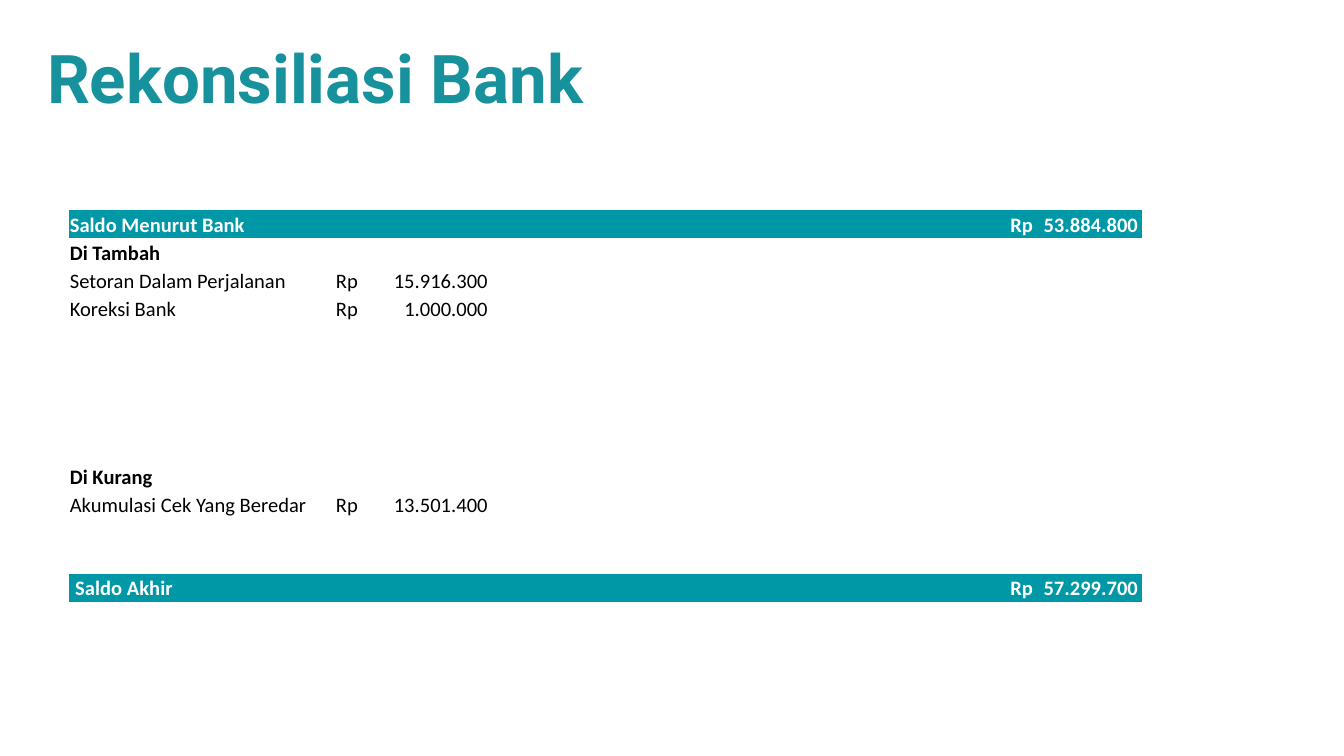
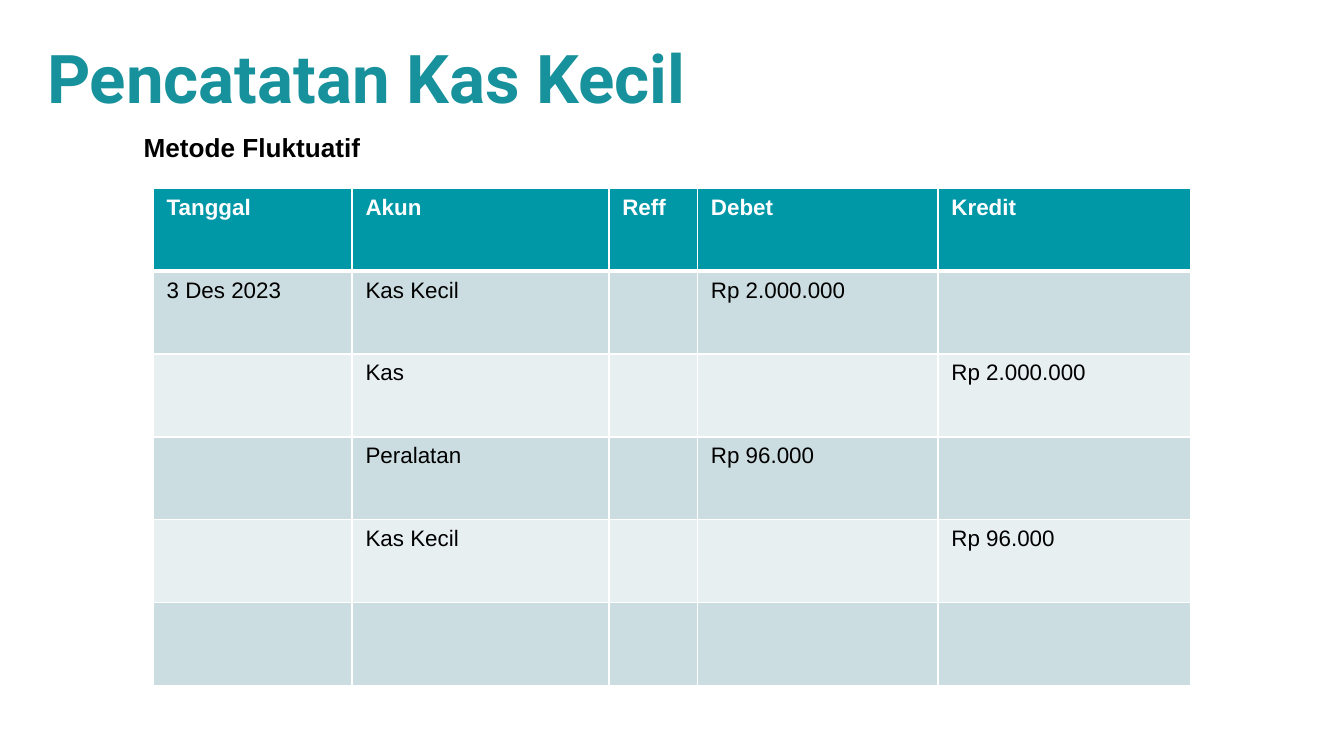
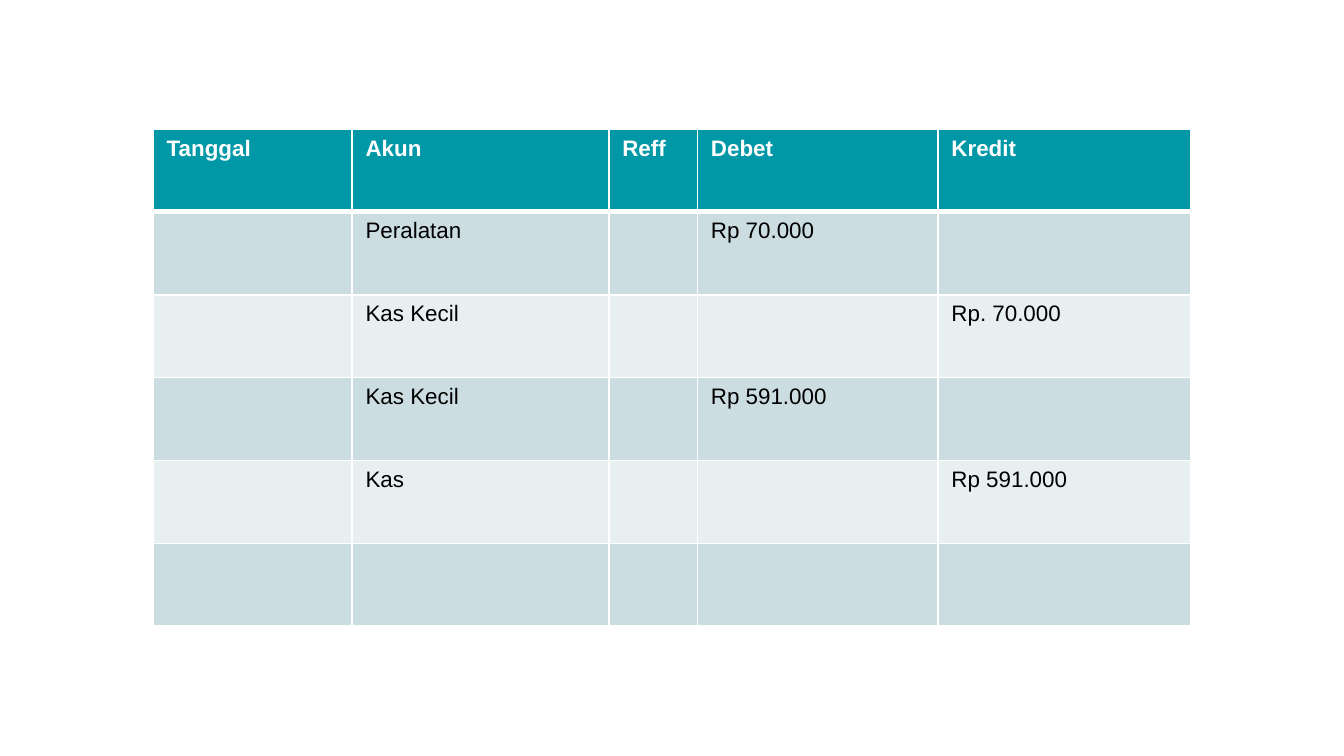
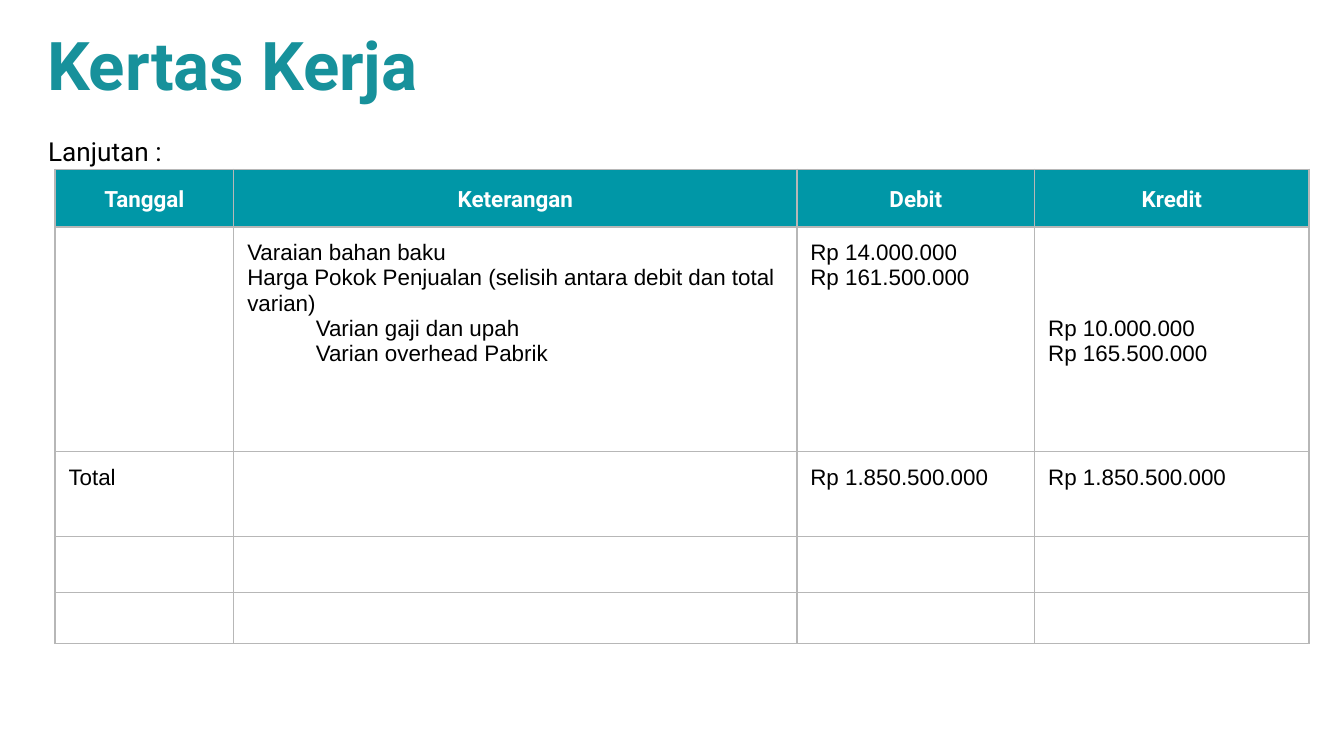
from lxml.etree import SubElement
from pptx import Presentation
from pptx.dml.color import RGBColor
from pptx.enum.text import MSO_ANCHOR, MSO_AUTO_SIZE, PP_ALIGN
from pptx.oxml.ns import qn
from pptx.util import Inches, Pt

WIDTH = 10
HEIGHT = WIDTH * 9 / 16
TEAL, TITLE_TEAL, WHITE, BLACK = "0097A7", "17919B", "FFFFFF", "000000"
BANDS = ("CCDDE1", "E7EFF1")
GRID_GREY = "B7B7B7"
PLAIN_TABLE_STYLE = "{2D5ABB26-0587-4C30-8999-92F81FD0307C}"

TITLE_FONT = {"name": "Roboto", "size": 36, "bold": True, "color": TITLE_TEAL}
SUBTITLE_FONT = {"name": "Arial", "size": 14, "bold": True, "color": BLACK}
CONTINUED_FONT = {"name": "Roboto", "size": 14, "bold": False, "color": BLACK}
STATEMENT_FONT = {"name": "Calibri", "size": 11, "bold": False, "color": BLACK}
TABLE_FONT = {"name": "Arial", "size": 12, "bold": False, "color": BLACK}
HEADER_FONT = {**TABLE_FONT, "bold": True, "color": WHITE}
WORKSHEET_HEADER_FONT = {**HEADER_FONT, "name": "Roboto"}

STATEMENT_COLUMNS = [1.94, 1.21, 1.03, 0.67, 0.67, 0.67, 0.77, 1.03]
STATEMENT_ROW_COUNT = 16
STATEMENT_BANDS = (2, 15)
STATEMENT_HEADINGS = (3, 11)
STATEMENT_ENTRIES = {
    (2, 0): "Saldo Menurut Bank",
    (2, 7): "Rp\t53.884.800",
    (3, 0): "Di Tambah",
    (4, 0): "Setoran Dalam Perjalanan",
    (4, 1): "Rp\t15.916.300",
    (5, 0): "Koreksi Bank",
    (5, 1): "Rp\t1.000.000",
    (11, 0): "Di Kurang",
    (12, 0): "Akumulasi Cek Yang Beredar",
    (12, 1): "Rp\t13.501.400",
    (15, 0): "Saldo Akhir",
    (15, 7): "Rp\t57.299.700",
}

JOURNAL_COLUMNS = [1.48, 1.91, 0.66, 1.79, 1.88]
JOURNAL_HEADER = ["Tanggal", "Akun", "Reff", "Debet", "Kredit"]
FIRST_JOURNAL = [
    ["3 Des 2023", "Kas Kecil", "", "Rp 2.000.000", ""],
    ["", "Kas", "", "", "Rp 2.000.000"],
    ["", "Peralatan", "", "Rp 96.000", ""],
    ["", "Kas Kecil", "", "", "Rp 96.000"],
    [""] * 5,
]
SECOND_JOURNAL = [
    ["", "Peralatan", "", "Rp 70.000", ""],
    ["", "Kas Kecil", "", "", "Rp. 70.000"],
    ["", "Kas Kecil", "", "Rp 591.000", ""],
    ["", "Kas", "", "", "Rp 591.000"],
    [""] * 5,
]

WORKSHEET_COLUMNS = [1.33, 4.19, 1.77, 2.04]
WORKSHEET_ROWS = [0.43, 1.67, 0.63, 0.42, 0.38]
WORKSHEET = [
    ["Tanggal", "Keterangan", "Debit", "Kredit"],
    ["",
     "Varaian bahan baku\n"
     "Harga Pokok Penjualan (selisih antara debit dan total varian)\n"
     "Varian gaji dan upah\nVarian overhead Pabrik",
     "Rp 14.000.000\nRp 161.500.000",
     "Rp 10.000.000\nRp 165.500.000"],
    ["Total", "", "Rp 1.850.500.000", "Rp 1.850.500.000"],
    [""] * 4,
    [""] * 4,
]
CREDIT_CELL = (1, 3)
CREDIT_TOP = 0.66
INDENTED_PREFIX = "Varian "
ENTRY_INDENT = 0.51


def rgb(value):
    return RGBColor.from_string(value)


def set_text(frame, text, font_values, alignment=PP_ALIGN.LEFT, line_spacing=1.0):
    frame.text = text
    for paragraph in frame.paragraphs:
        paragraph.alignment = alignment
        paragraph.line_spacing = line_spacing
        if not paragraph.runs:
            end_properties = paragraph._p.get_or_add_endParaRPr()
            end_properties.set("sz", str(font_values["size"] * 100))
        for run in paragraph.runs:
            for name, value in font_values.items():
                if name == "color":
                    run.font.color.rgb = rgb(value)
                else:
                    setattr(run.font, name, Pt(value) if name == "size" else value)


def set_frame(frame, margins, anchor=MSO_ANCHOR.TOP):
    values = dict(zip(("margin_left", "margin_top", "margin_right", "margin_bottom"),
                      map(Inches, margins)))
    values.update(word_wrap=True, auto_size=MSO_AUTO_SIZE.NONE, vertical_anchor=anchor)
    for name, value in values.items():
        setattr(frame, name, value)


def add_slide(presentation, title=None, top=0.26):
    layout = presentation.slide_layouts[5 if title else 6]
    slide = presentation.slides.add_slide(layout)
    if title:
        shape = slide.shapes.title
        place = {"left": 0.34, "top": top, "width": 9.33, "height": 0.62}
        for name, value in place.items():
            setattr(shape, name, Inches(value))
        set_frame(shape.text_frame, (0.01, 0.01, 0, 0))
        set_text(shape.text_frame, title, TITLE_FONT)
    return slide


def add_label(slide, place, text, font_values, margins, line_spacing=1.0):
    shape = slide.shapes.add_textbox(*map(Inches, place))
    set_frame(shape.text_frame, margins)
    set_text(shape.text_frame, text, font_values, line_spacing=line_spacing)


def add_table(slide, left, top, columns, rows):
    frame = slide.shapes.add_table(len(rows), len(columns), Inches(left), Inches(top),
                                   Inches(sum(columns)), Inches(sum(rows)))
    table = frame.table
    table.first_row = table.horz_banding = False
    table._tbl.tblPr.find(qn("a:tableStyleId")).text = PLAIN_TABLE_STYLE
    for column, width in zip(table.columns, columns):
        column.width = Inches(width)
    for row, height in zip(table.rows, rows):
        row.height = Inches(height)
    return table


def set_cell(cell, margins, fill=None, anchor=MSO_ANCHOR.TOP):
    for side, value in zip(("left", "top", "right", "bottom"), margins):
        setattr(cell, f"margin_{side}", Inches(value))
    cell.vertical_anchor = anchor
    if fill:
        cell.fill.solid()
        cell.fill.fore_color.rgb = rgb(fill)
    else:
        cell.fill.background()


def set_borders(cell, color, width, **side_widths):
    properties = cell._tc.get_or_add_tcPr()
    for side in "LRTB":
        line = SubElement(properties, qn(f"a:ln{side}"))
        line.set("w", str(Pt(side_widths.get(side, width))))
        fill = SubElement(line, qn("a:solidFill"))
        SubElement(fill, qn("a:srgbClr")).set("val", color)


def add_right_tab(paragraph, position):
    tabs = SubElement(paragraph._p.get_or_add_pPr(), qn("a:tabLst"))
    tab = SubElement(tabs, qn("a:tab"))
    tab.set("pos", str(Inches(position)))
    tab.set("algn", "r")


def add_statement(slide):
    rows = [3.33 / STATEMENT_ROW_COUNT] * STATEMENT_ROW_COUNT
    table = add_table(slide, 0.51, 1.15, STATEMENT_COLUMNS, rows)
    for row in range(STATEMENT_ROW_COUNT):
        banded = row in STATEMENT_BANDS
        font_values = {**STATEMENT_FONT,
                       "bold": banded or row in STATEMENT_HEADINGS,
                       "color": WHITE if banded else BLACK}
        for column, width in enumerate(STATEMENT_COLUMNS):
            cell = table.cell(row, column)
            text = STATEMENT_ENTRIES.get((row, column), "")
            inset = 0.05 if "\t" in text or row == STATEMENT_BANDS[-1] else 0.01
            set_cell(cell, (inset, 0.01, 0.01, 0), TEAL if banded else None,
                     MSO_ANCHOR.BOTTOM)
            set_text(cell.text_frame, text, font_values)
            if "\t" in text:
                add_right_tab(cell.text_frame.paragraphs[0], width - 0.08)


def add_journal(slide, top, entries):
    content = [JOURNAL_HEADER, *entries]
    table = add_table(slide, 1.14, top, JOURNAL_COLUMNS, [3.7 / len(content)] * len(content))
    for row, texts in enumerate(content):
        thick_side = {0: {"B": 3}, 1: {"T": 3}}.get(row, {})
        for column, text in enumerate(texts):
            cell = table.cell(row, column)
            set_borders(cell, WHITE, 1, **thick_side)
            set_cell(cell, (0.1, 0.05, 0.1, 0.05), BANDS[(row - 1) % 2] if row else TEAL)
            set_text(cell.text_frame, text, TABLE_FONT if row else HEADER_FONT)


def add_worksheet(slide):
    table = add_table(slide, 0.41, 1.26, WORKSHEET_COLUMNS, WORKSHEET_ROWS)
    for row, texts in enumerate(WORKSHEET):
        for column, text in enumerate(texts):
            cell = table.cell(row, column)
            inset = 0.1 if text else 0.05
            top_margin = CREDIT_TOP if (row, column) == CREDIT_CELL else inset
            margins = (0.1, top_margin, 0.1, inset)
            set_borders(cell, GRID_GREY, 0.75)
            if row == 0:
                set_cell(cell, margins, TEAL, MSO_ANCHOR.MIDDLE)
                set_text(cell.text_frame, text, WORKSHEET_HEADER_FONT, PP_ALIGN.CENTER, 1.15)
                continue
            set_cell(cell, margins)
            set_text(cell.text_frame, text, TABLE_FONT)
            for paragraph in cell.text_frame.paragraphs:
                if paragraph.text.startswith(INDENTED_PREFIX):
                    paragraph._p.get_or_add_pPr().set("marL", str(Inches(ENTRY_INDENT)))


def main():
    presentation = Presentation()
    presentation.slide_width = Inches(WIDTH)
    presentation.slide_height = Inches(HEIGHT)

    add_statement(add_slide(presentation, "Rekonsiliasi Bank"))

    slide = add_slide(presentation, "Pencatatan Kas Kecil")
    add_journal(slide, 1.4, FIRST_JOURNAL)
    add_label(slide, (0.97, 0.93, 2.69, 0.34), "Metode Fluktuatif", SUBTITLE_FONT,
              (0.1, 0.05, 0.1, 0.05))

    add_journal(add_slide(presentation), 0.96, SECOND_JOURNAL)

    slide = add_slide(presentation, "Kertas Kerja", top=0.16)
    add_label(slide, (0.26, 0.87, 8.81, 0.39), "Lanjutan :", CONTINUED_FONT,
              (0.1, 0.1, 0.1, 0.1), 1.15)
    add_worksheet(slide)

    presentation.save("out.pptx")


if __name__ == "__main__":
    main()
